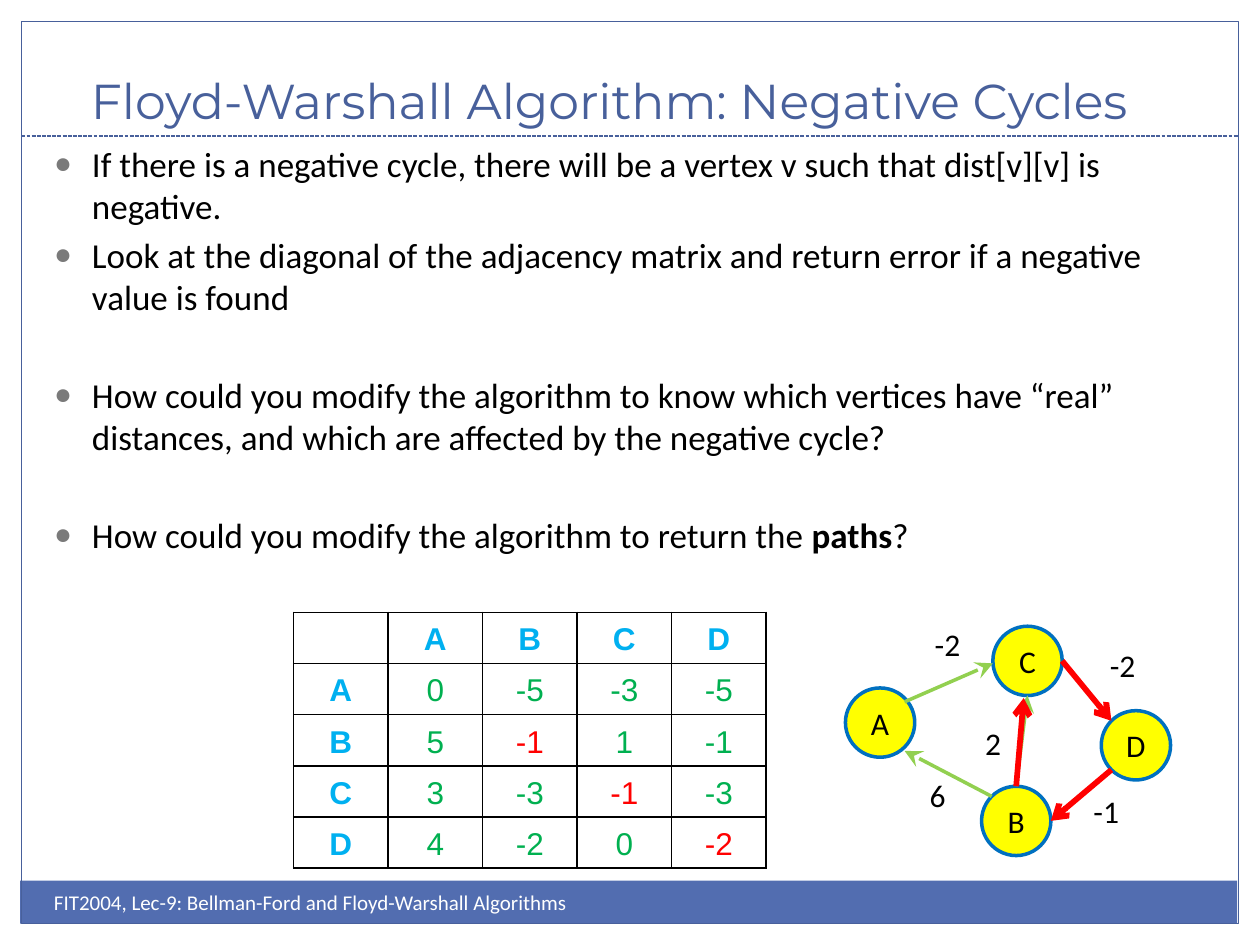
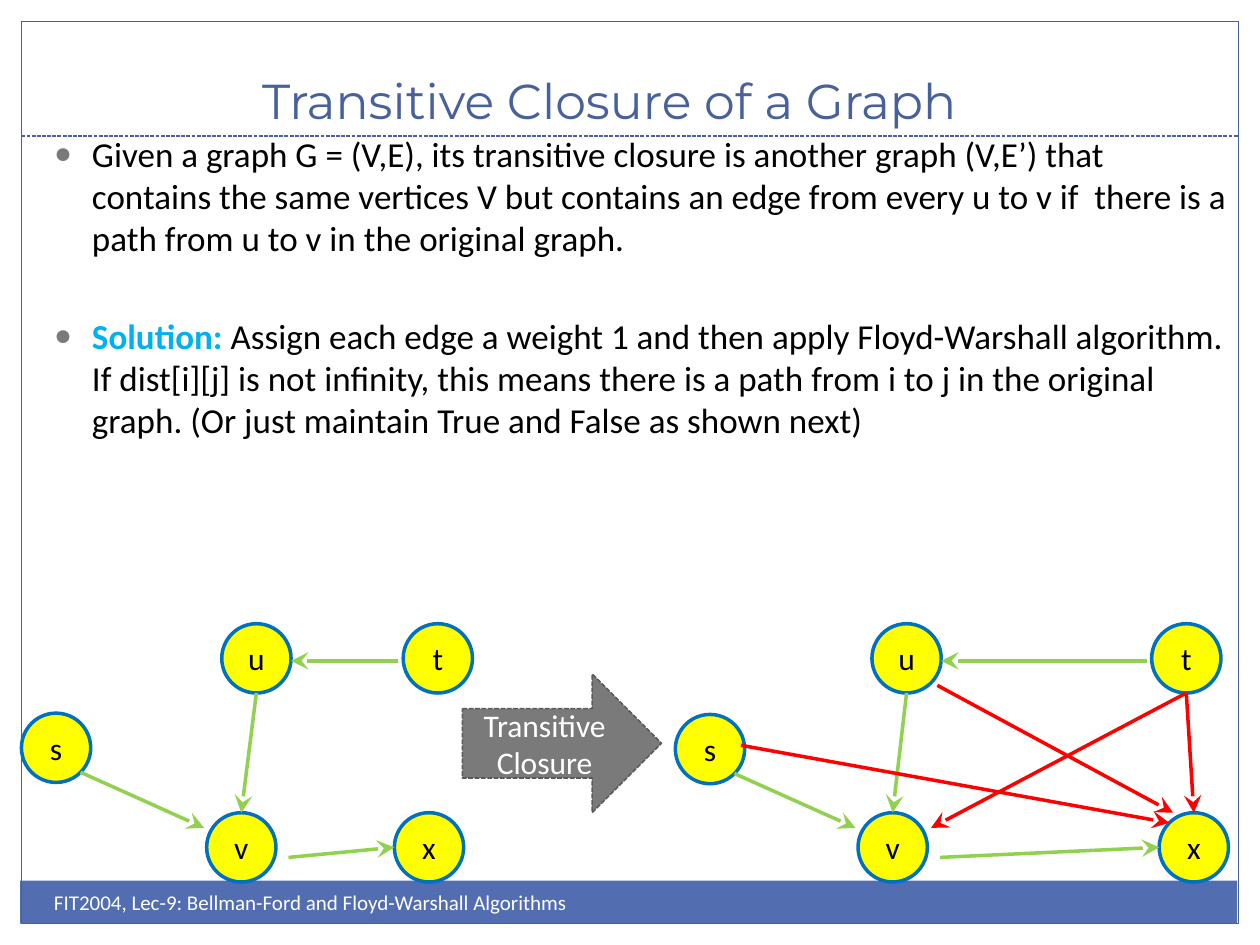
from dataclasses import dataclass
from enum import Enum
from math import sqrt
from typing import NamedTuple, Optional

from lxml.etree import SubElement
from pptx import Presentation
from pptx.dml.color import RGBColor
from pptx.enum.dml import MSO_LINE
from pptx.enum.shapes import MSO_CONNECTOR, MSO_SHAPE
from pptx.enum.text import MSO_ANCHOR, MSO_AUTO_SIZE, PP_ALIGN
from pptx.oxml import parse_xml
from pptx.oxml.ns import nsdecls, qn
from pptx.util import Inches, Pt


@dataclass(frozen=True)
class Theme:
    accent: str = "48609B"
    band: str = "526DB0"
    white: str = "FFFFFF"
    black: str = "000000"
    bullet: str = "7A7A7A"
    arrow_border: str = "5A5A5A"
    highlight: str = "00B0F0"
    distance: str = "00B050"
    alert: str = "FF0000"
    edge: str = "92D050"
    node: str = "FFFF00"
    node_border: str = "0070C0"
    title_font: str = "Montserrat"
    text_font: str = "Calibri"
    matrix_font: str = "Arial"
    title_size: float = 28
    body_size: float = 20
    label_size: float = 18
    footer_size: float = 12


THEME = Theme()
FOOTER = "FIT2004, Lec-9: Bellman-Ford and Floyd-Warshall Algorithms"
NODE_SIZE = 0.55
PARAGRAPH_GAP = 4
SECTION_GAP = 32
DIAGONAL = 1 / sqrt(2)


class Side(Enum):
    """Points on a node's rim, as directions from its centre."""
    TOP = (0, -1)
    BOTTOM = (0, 1)
    LEFT = (-1, 0)
    RIGHT = (1, 0)
    TOP_LEFT = (-DIAGONAL, -DIAGONAL)
    TOP_RIGHT = (DIAGONAL, -DIAGONAL)
    BOTTOM_LEFT = (-DIAGONAL, DIAGONAL)
    BOTTOM_RIGHT = (DIAGONAL, DIAGONAL)


class Box(NamedTuple):
    left: float
    top: float
    width: float
    height: float

    def lengths(self):
        return tuple(Inches(value) for value in self)


class Piece(NamedTuple):
    text: str
    bold: bool = False
    color: str = THEME.black


class Item(NamedTuple):
    pieces: list[Piece]
    gap: float = PARAGRAPH_GAP


class End(NamedTuple):
    node: str
    side: Side
    dx: float = 0
    dy: float = 0


class Edge(NamedTuple):
    start: End
    end: End


class Weight(NamedTuple):
    text: str
    left: float
    top: float


Nodes = dict[str, tuple[float, float]]


def style_font(font, name: str, size: float, color: str, bold: bool = False) -> None:
    font.name, font.size, font.bold = name, Pt(size), bold
    font.color.rgb = RGBColor.from_string(color)


def add_shape(slide, kind, box: Box, fill: Optional[str], border: Optional[str] = None, width: float = 0.75):
    shape = slide.shapes.add_shape(kind, *box.lengths())
    shape.shadow.inherit = False
    for paint, color in ((shape.fill, fill), (shape.line.fill, border)):
        if color:
            paint.solid()
            paint.fore_color.rgb = RGBColor.from_string(color)
        else:
            paint.background()
    if border:
        shape.line.width = Pt(width)
    return shape


def add_line(slide, start, end, color: str, width: float, head: Optional[str] = None, head_size: str = "med"):
    points = (Inches(value) for value in (*start, *end))
    connector = slide.shapes.add_connector(MSO_CONNECTOR.STRAIGHT, *points)
    connector.line.color.rgb = RGBColor.from_string(color)
    connector.line.width = Pt(width)
    if head:
        SubElement(connector.line._get_or_add_ln(), qn("a:tailEnd"), type=head, w=head_size, len=head_size)
    SubElement(connector.element.spPr, qn("a:effectLst"))
    return connector


def add_text(slide, box: Box, text: str, size: float, color: str, wrap: bool) -> None:
    frame = slide.shapes.add_textbox(*box.lengths()).text_frame
    frame.word_wrap = wrap
    frame.text = text
    style_font(frame.paragraphs[0].runs[0].font, THEME.text_font, size, color)


def add_master_frame(presentation, slide) -> None:
    """Draw the margins, band, border and title rule, then hand them to the master."""
    fills = {Box(0, 0, 10, 1.52): THEME.white, Box(0, 0, 0.17, 7.5): THEME.white,
             Box(9.83, 0, 0.17, 7.5): THEME.white, Box(0.16, 6.99, 9.66, 0.34): THEME.band}
    parts = [add_shape(slide, MSO_SHAPE.RECTANGLE, box, fill) for box, fill in fills.items()]
    parts.append(add_shape(slide, MSO_SHAPE.RECTANGLE, Box(0.17, 0.17, 9.66, 7.16), None, THEME.accent))
    rule = add_line(slide, (0.17, 1.08), (9.83, 1.08), THEME.accent, 0.75)
    rule.line.dash_style = MSO_LINE.SQUARE_DOT
    for shape in (*parts, rule):
        presentation.slide_master.shapes.element.append(shape.element)


def place(placeholder, box: Box) -> None:
    placeholder.left, placeholder.top, placeholder.width, placeholder.height = box.lengths()
    placeholder.text_frame.auto_size = MSO_AUTO_SIZE.NONE


def set_bullet(paragraph) -> None:
    properties = paragraph._p.get_or_add_pPr()
    properties.set("marL", str(Inches(0.3)))
    properties.set("indent", str(-Inches(0.3)))
    color = SubElement(properties, qn("a:buClr"))
    SubElement(color, qn("a:srgbClr"), val=THEME.bullet)
    SubElement(properties, qn("a:buSzPct"), val="85000")
    SubElement(properties, qn("a:buFont"), typeface=THEME.matrix_font)
    SubElement(properties, qn("a:buChar"), char="●")


def add_content_slide(presentation, title: str, items: list[Item], body_box: Box):
    slide = presentation.slides.add_slide(presentation.slide_layouts[1])
    heading, body = slide.shapes.title, slide.placeholders[1]
    place(heading, Box(-0.08, 0.25, 9.83, 0.83))
    heading.text_frame.text = title
    heading.text_frame.vertical_anchor = MSO_ANCHOR.BOTTOM
    paragraph = heading.text_frame.paragraphs[0]
    paragraph.alignment = PP_ALIGN.CENTER
    style_font(paragraph.runs[0].font, THEME.title_font, THEME.title_size, THEME.accent)

    place(body, body_box)
    frame = body.text_frame
    for index, item in enumerate(items):
        paragraph = frame.add_paragraph() if index else frame.paragraphs[0]
        paragraph.space_before = Pt(item.gap)
        set_bullet(paragraph)
        for piece in item.pieces:
            run = paragraph.add_run()
            run.text = piece.text
            style_font(run.font, THEME.text_font, THEME.body_size, piece.color, piece.bold)
    add_text(slide, Box(0.33, 7.01, 5, 0.4), FOOTER, THEME.footer_size, THEME.white, True)
    return slide


def add_nodes(slide, nodes: Nodes) -> None:
    for name, (left, top) in nodes.items():
        box = Box(left, top, NODE_SIZE, NODE_SIZE)
        frame = add_shape(slide, MSO_SHAPE.OVAL, box, THEME.node, THEME.node_border, 2).text_frame
        frame.margin_left = frame.margin_right = frame.margin_top = frame.margin_bottom = 0
        frame.vertical_anchor = MSO_ANCHOR.MIDDLE
        frame.text = name
        frame.paragraphs[0].alignment = PP_ALIGN.CENTER
        style_font(frame.paragraphs[0].runs[0].font, THEME.text_font, THEME.label_size, THEME.black)


def end_point(nodes: Nodes, end: End) -> tuple[float, float]:
    radius = NODE_SIZE / 2
    (left, top), (across, down) = nodes[end.node], end.side.value
    return left + radius * (1 + across) + end.dx, top + radius * (1 + down) + end.dy


def add_edges(slide, nodes: Nodes, edges: list[Edge], color: str, width: float = 2,
              head: str = "stealth", head_size: str = "lg") -> None:
    for edge in edges:
        add_line(slide, end_point(nodes, edge.start), end_point(nodes, edge.end), color, width, head, head_size)


def add_matrix(slide, names: str, distances: list[list[int]], box: Box) -> None:
    """Draw a distance matrix, with negative diagonal values in the alert colour."""
    count = len(names) + 1
    table = slide.shapes.add_table(count, count, *box.lengths()).table
    table.first_row = table.horz_banding = False
    rows = [["", *names]] + [[name, *values] for name, values in zip(names, distances)]
    for row, values in enumerate(rows):
        for column, value in enumerate(values):
            cell = table.cell(row, column)
            cell.fill.background()
            cell.margin_left = cell.margin_right = cell.margin_bottom = 0
            cell.margin_top = Inches(0.03)
            cell.vertical_anchor = MSO_ANCHOR.MIDDLE
            cell.text = str(value)
            is_header = row == 0 or column == 0
            is_cycle = not is_header and row == column and value < 0
            color = THEME.highlight if is_header else THEME.alert if is_cycle else THEME.distance
            paragraph = cell.text_frame.paragraphs[0]
            paragraph.alignment = PP_ALIGN.CENTER
            for part in (paragraph, *paragraph.runs):
                style_font(part.font, THEME.matrix_font, THEME.label_size, color, is_header)
            for position, side in enumerate("LRTB"):
                cell._tc.get_or_add_tcPr().insert(position, parse_xml(
                    f'<a:ln{side} {nsdecls("a")} w="{Pt(1)}"><a:solidFill>'
                    f'<a:srgbClr val="{THEME.black}"/></a:solidFill></a:ln{side}>'))


def build_negative_cycles(presentation):
    slide = add_content_slide(presentation, "Floyd-Warshall Algorithm: Negative Cycles", [
        Item([Piece("If there is a negative cycle, there will be a vertex v such that dist[v][v] is negative.")]),
        Item([Piece("Look at the diagonal of the adjacency matrix and return error if a negative value is found")]),
        Item([Piece("How could you modify the algorithm to know which vertices have “real” distances, "
                    "and which are affected by the negative cycle?")], SECTION_GAP),
        Item([Piece("How could you modify the algorithm to return the "), Piece("paths", True), Piece("?")],
             SECTION_GAP),
    ], Box(0.33, 1.08, 9.26, 3.56))
    add_matrix(slide, "ABCD", [[0, -5, -3, -5], [5, -1, 1, -1], [3, -3, -1, -3], [4, -2, 0, -2]],
               Box(2.33, 4.86, 3.75, 2.03))

    nodes = {"A": (6.71, 5.46), "B": (7.79, 6.24), "C": (7.88, 4.97), "D": (8.74, 5.64)}
    add_nodes(slide, nodes)
    add_edges(slide, nodes, [
        Edge(End("A", Side.TOP_RIGHT, 0, 0.03), End("C", Side.LEFT, 0, 0.02)),
        Edge(End("B", Side.TOP), End("C", Side.BOTTOM)),
        Edge(End("B", Side.TOP_LEFT), End("A", Side.BOTTOM_RIGHT, 0, 0.03)),
    ], THEME.edge)
    add_edges(slide, nodes, [
        Edge(End("B", Side.TOP), End("C", Side.BOTTOM, -0.03, 0.02)),
        Edge(End("C", Side.RIGHT), End("D", Side.TOP_LEFT)),
        Edge(End("D", Side.BOTTOM_LEFT), End("B", Side.RIGHT)),
    ], THEME.alert, 3.25, "arrow", "med")
    for weight in (Weight("-2", 7.32, 4.91), Weight("6", 7.28, 6.11), Weight("2", 7.72, 5.7),
                   Weight("-2", 8.71, 5.08), Weight("-1", 8.58, 6.24)):
        box = Box(weight.left, weight.top, 0.43 if weight.text.startswith("-") else 0.34, 0.4)
        add_text(slide, box, weight.text, THEME.label_size, THEME.black, False)
    return slide


def build_transitive_closure(presentation) -> None:
    slide = add_content_slide(presentation, "Transitive Closure of a Graph", [
        Item([Piece("Given a graph G = (V,E), its transitive closure is another graph (V,E’) that contains "
                    "the same vertices V but contains an edge from every u to v if  there is a path from "
                    "u to v in the original graph.")]),
        Item([Piece("Solution:", True, THEME.highlight),
              Piece(" Assign each edge a weight 1 and then apply Floyd-Warshall algorithm. If dist[i][j] is "
                    "not infinity, this means there is a path from i to j in the original graph. "
                    "(Or just maintain True and False as shown next)")], SECTION_GAP),
    ], Box(0.33, 1, 9.52, 5.5))
    graph = {"u": (1.76, 4.95), "t": (3.2, 4.95), "s": (0.17, 5.66), "v": (1.64, 6.45), "x": (3.13, 6.45)}
    closure = {"u": (6.92, 4.95), "t": (9.14, 4.95), "s": (5.36, 5.67), "v": (6.81, 6.45), "x": (9.2, 6.45)}
    given_edges = [
        Edge(End("t", Side.LEFT, -0.04, 0.02), End("u", Side.RIGHT, 0, 0.02)),
        Edge(End("s", Side.BOTTOM_RIGHT), End("v", Side.TOP_LEFT, -0.1, 0.04)),
        Edge(End("u", Side.BOTTOM), End("v", Side.TOP)),
        Edge(End("v", Side.RIGHT, 0.1, 0.08), End("x", Side.LEFT)),
    ]
    for nodes in (graph, closure):
        add_nodes(slide, nodes)
        add_edges(slide, nodes, given_edges, THEME.edge)
    add_edges(slide, closure, [
        Edge(End("t", Side.BOTTOM), End("v", Side.TOP_RIGHT, 0.11, 0.04)),
        Edge(End("s", Side.RIGHT, -0.03, -0.03), End("x", Side.TOP_LEFT)),
        Edge(End("t", Side.BOTTOM), End("x", Side.TOP)),
        Edge(End("u", Side.BOTTOM_RIGHT, 0.05, 0.02), End("x", Side.TOP_LEFT, 0.03, -0.08)),
    ], THEME.alert)

    box = Box(3.67, 5.35, 1.58, 1.1)
    arrow = add_shape(slide, MSO_SHAPE.RIGHT_ARROW, box, THEME.bullet, THEME.arrow_border, 0.9)
    arrow.line.dash_style = MSO_LINE.SQUARE_DOT
    arrow.text_frame.text = "Transitive Closure"
    paragraph = arrow.text_frame.paragraphs[0]
    paragraph.alignment = PP_ALIGN.CENTER
    style_font(paragraph.runs[0].font, THEME.text_font, THEME.label_size, THEME.white)


def main() -> None:
    presentation = Presentation()
    presentation.slide_width, presentation.slide_height = Inches(10), Inches(7.5)
    first_slide = build_negative_cycles(presentation)
    add_master_frame(presentation, first_slide)
    build_transitive_closure(presentation)
    presentation.save("out.pptx")


if __name__ == "__main__":
    main()
